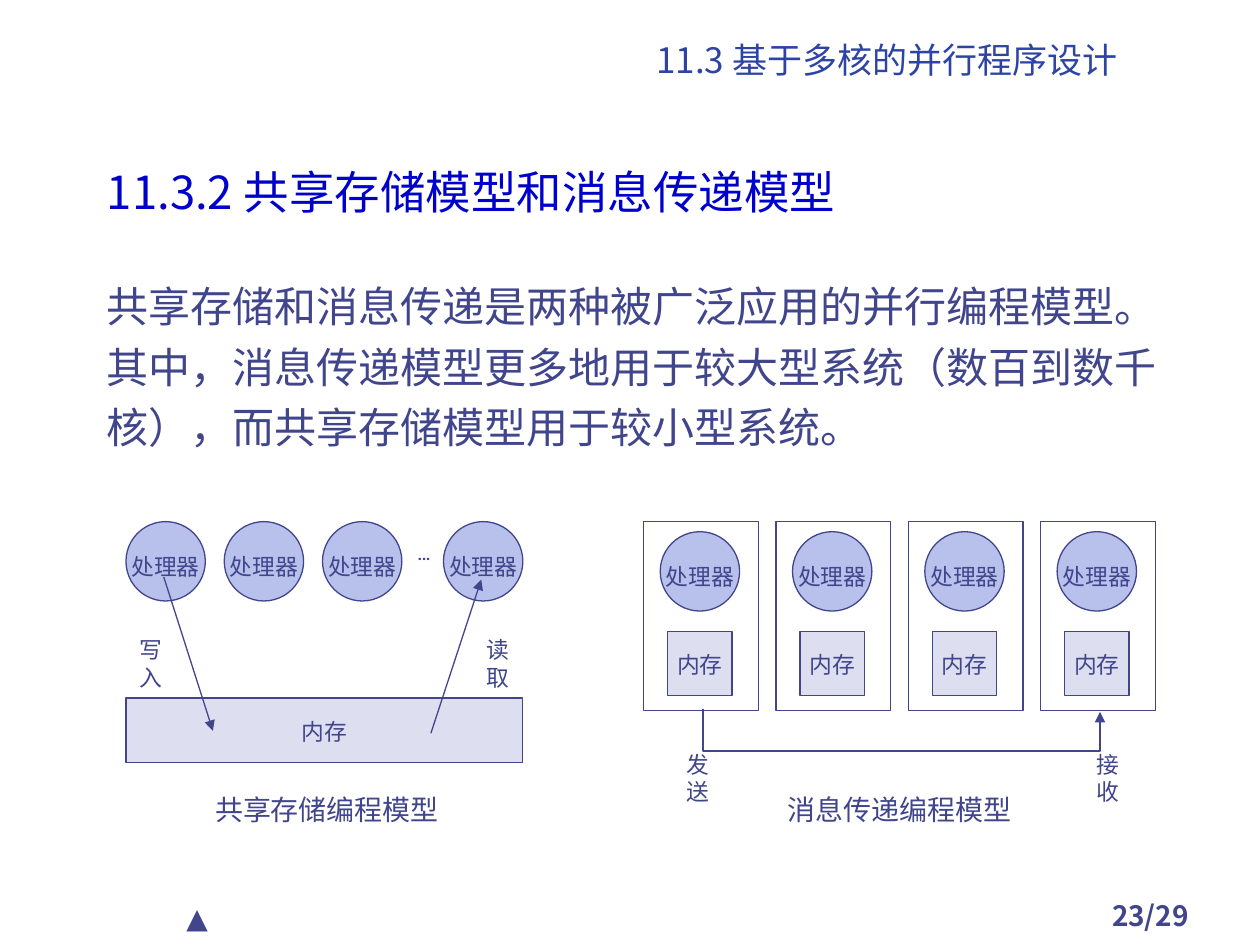
from dataclasses import dataclass

from lxml.etree import SubElement
from pptx import Presentation
from pptx.dml.color import RGBColor
from pptx.enum.shapes import MSO_CONNECTOR as CONN, MSO_SHAPE as SHAPE
from pptx.enum.text import MSO_ANCHOR as ANCHOR, PP_ALIGN as ALIGN
from pptx.oxml.ns import qn
from pptx.util import Inches, Pt


@dataclass(frozen=True)
class Theme:
    ink: str = "40458C"
    title: str = "2D44A4"
    heading: str = "0000CC"
    processor: str = "B7C1EB"
    memory: str = "ABAED9"
    memory_alpha: int = 40
    line_pt: float = 0.75
    label_pt: int = 13
    caption_pt: int = 16
    title_pt: int = 20
    body_pt: int = 24
    heading_pt: int = 26
    cjk: str = "Noto Sans CJK SC"
    latin: str = "Karla"


T = Theme()
CIRCLE = 0.63
MEMORY = 0.51
TOP = 4.14


def write(sp, text, size=T.label_pt, color=T.ink, font=T.latin, bold=False,
          align=ALIGN.CENTER, anchor=ANCHOR.TOP, spacing=None, wrap=False):
    tf = sp.text_frame
    tf.word_wrap = wrap
    tf.vertical_anchor = anchor
    p = tf.paragraphs[0]
    p.alignment = align
    if spacing:
        p.line_spacing = spacing
    r = p.add_run()
    r.text = text
    r.font.size = Pt(size)
    r.font.bold = bold
    r.font.name = font
    r.font.color.rgb = RGBColor.from_string(color)
    SubElement(r.font._element, qn("a:ea"), typeface=T.cjk)


def add_text(slide, x, y, w, h, text, **fmt):
    sp = slide.shapes.add_textbox(Inches(x), Inches(y), Inches(w), Inches(h))
    write(sp, text, **fmt)


def set_line(line):
    line.color.rgb = RGBColor.from_string(T.ink)
    line.width = Pt(T.line_pt)


def add_box(slide, kind, x, y, w, h, fill=None, alpha=None, text=None):
    sp = slide.shapes.add_shape(kind, Inches(x), Inches(y), Inches(w), Inches(h))
    sp.shadow.inherit = False
    set_line(sp.line)
    if fill:
        sp.fill.solid()
        sp.fill.fore_color.rgb = RGBColor.from_string(fill)
        if alpha:
            color = sp._element.spPr.find(qn("a:solidFill"))[0]
            SubElement(color, qn("a:alpha"), val=str(alpha * 1000))
    else:
        sp.fill.background()
    if text:
        write(sp, text, spacing=1.5)


def add_processor(slide, x, y):
    add_box(slide, SHAPE.OVAL, x, y, CIRCLE, CIRCLE, T.processor, text="处理器")


def add_memory(slide, x, y, w):
    add_box(slide, SHAPE.RECTANGLE, x, y, w, MEMORY, T.memory, T.memory_alpha, "内存")


def add_arrow(slide, x1, y1, x2, y2, kind=CONN.STRAIGHT):
    c = slide.shapes.add_connector(kind, Inches(x1), Inches(y1), Inches(x2), Inches(y2))
    set_line(c.line)
    SubElement(c.line._get_or_add_ln(), qn("a:tailEnd"), type="triangle")
    SubElement(c._element.spPr, qn("a:effectLst"))
    return c


def add_u_arrow(slide, x1, y1, x2, y2, depth):
    """Arrow that drops by depth from its start, runs across and rises to its end."""
    cx, cy = (x1 + x2) / 2, (y1 + y2) / 2
    rise, run = y2 - y1, x2 - x1
    c = add_arrow(slide, cx - rise / 2, cy - run / 2, cx + rise / 2, cy + run / 2,
                  CONN.ELBOW)
    spPr = c._element.spPr
    xfrm = spPr.find(qn("a:xfrm"))
    xfrm.set("rot", str(270 * 60000))
    xfrm.set("flipH", "1")
    geom = spPr.find(qn("a:prstGeom"))
    guides = geom.find(qn("a:avLst"))
    if guides is None:
        guides = SubElement(geom, qn("a:avLst"))
    SubElement(guides, qn("a:gd"), name="adj1",
               fmla=f"val {round(depth / rise * 100000)}")


def add_caption(slide, x, w, text):
    add_text(slide, x, 6.11, w, 0.63, text, size=T.caption_pt, font=T.cjk,
             spacing=1.5, wrap=True)


def add_label(slide, x, y, text):
    add_text(slide, x, y, 0.51, 0.39, text)


def add_shared_model(slide):
    left, width = 1, 3.15
    for x in (left, left + 0.78, left + 2 * 0.78, left + width - CIRCLE):
        add_processor(slide, x, TOP)
    add_memory(slide, left, 5.54, width)
    add_label(slide, 3.11, 4.22, "…")
    add_label(slide, 0.94, 5, "写入")
    add_label(slide, 3.7, 5, "读取")
    add_arrow(slide, 1.3, 4.58, 1.69, 5.8)
    add_arrow(slide, 3.42, 5.82, 3.82, 4.6)
    add_caption(slide, 0.98, 3.23, "共享存储编程模型")


def add_message_model(slide):
    left, pitch = 5.11, 1.05
    for i in range(4):
        x = left + i * pitch
        add_box(slide, SHAPE.RECTANGLE, x, TOP, 0.91, 1.5)
        add_processor(slide, x + 0.13, TOP + 0.08)
        add_memory(slide, x + 0.19, 5.01, MEMORY)
    add_label(slide, 5.28, 5.91, "发送")
    add_label(slide, 8.54, 5.91, "接收")
    add_u_arrow(slide, 5.58, 5.63, 8.73, 5.65, depth=0.33)
    add_caption(slide, left, 4.06, "消息传递编程模型")


def main():
    prs = Presentation()
    prs.slide_width, prs.slide_height = Inches(10), Inches(7.5)
    slide = prs.slides.add_slide(prs.slide_layouts[6])
    add_text(slide, 8.42, 7.08, 1.42, 0.33, "23/29", size=T.caption_pt,
             font=T.cjk, bold=True, wrap=True)
    add_text(slide, 1.38, 7.1, 1.42, 0.37, "▲", size=T.caption_pt,
             align=ALIGN.LEFT, wrap=True)
    add_text(slide, 0.75, 2.1, 8.74, 4.65,
             "共享存储和消息传递是两种被广泛应用的并行编程模型。"
             "其中，消息传递模型更多地用于较大型系统（数百到数千核），"
             "而共享存储模型用于较小型系统。",
             size=T.body_pt, font=T.cjk, align=ALIGN.LEFT, spacing=1.2, wrap=True)
    add_text(slide, 4.25, 0.27, 5.58, 0.42, "11.3 基于多核的并行程序设计",
             size=T.title_pt, color=T.title, font=T.cjk, anchor=ANCHOR.BOTTOM, wrap=True)
    add_text(slide, 0.75, 1.25, 7.48, 0.54, "11.3.2 共享存储模型和消息传递模型",
             size=T.heading_pt, color=T.heading, font=T.cjk, align=ALIGN.LEFT, wrap=True)
    add_shared_model(slide)
    add_message_model(slide)
    prs.save("out.pptx")


if __name__ == "__main__":
    main()
